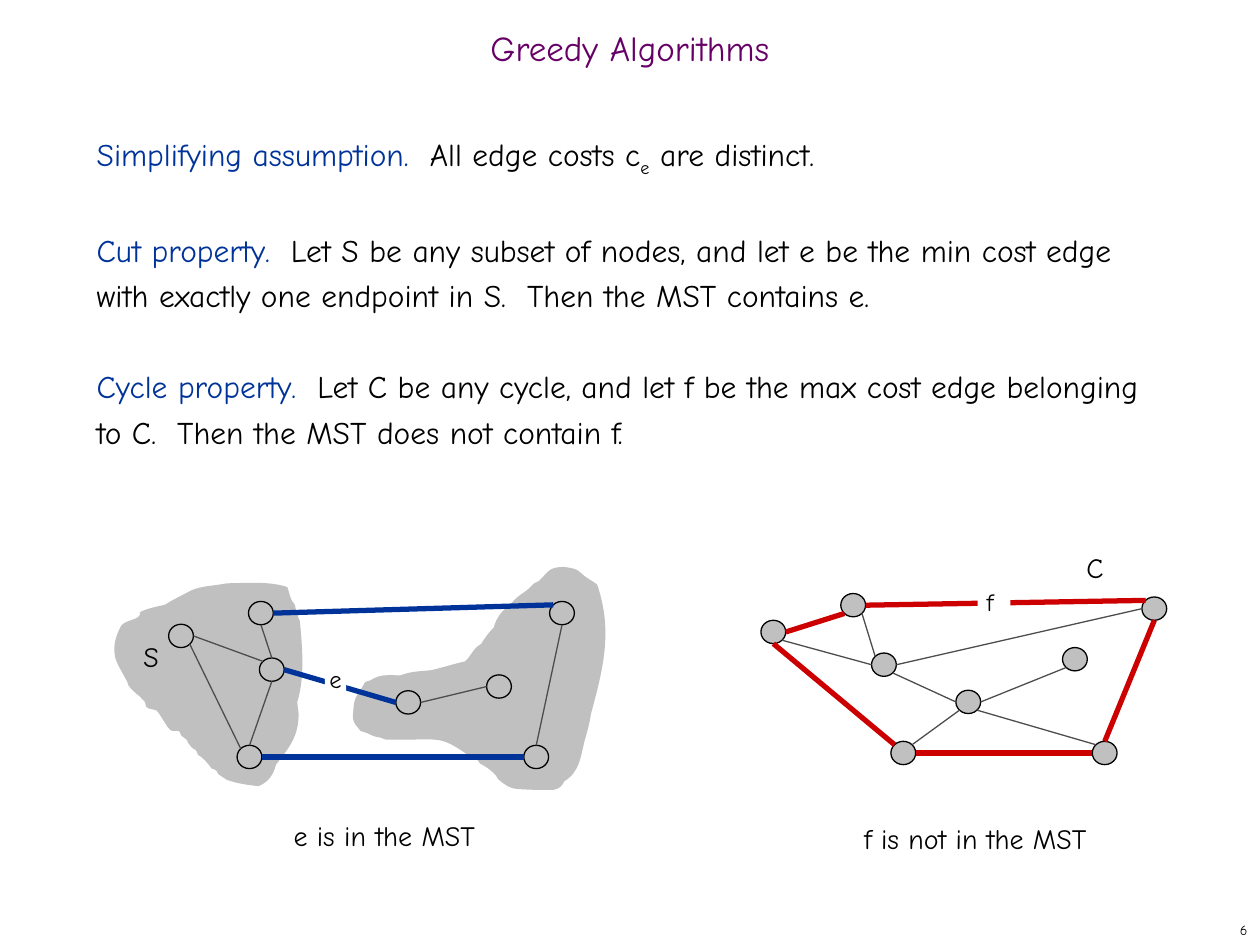
from math import cos, pi, sin

from lxml.etree import SubElement
from pptx import Presentation
from pptx.dml.color import RGBColor
from pptx.enum.shapes import MSO_CONNECTOR as Connector, MSO_SHAPE as Shape
from pptx.enum.text import MSO_ANCHOR as Anchor, PP_ALIGN as Align
from pptx.oxml.ns import qn
from pptx.util import Cm, Pt

FONT = "Comic Neue"
BLACK = RGBColor(0x00, 0x00, 0x00)
WHITE = RGBColor(0xFF, 0xFF, 0xFF)
GRAY = RGBColor(0xC0, 0xC0, 0xC0)
DARK_GRAY = RGBColor(0x4D, 0x4D, 0x4D)
PURPLE = RGBColor(0x66, 0x00, 0x66)
BLUE = RGBColor(0x00, 0x33, 0x99)
RED = RGBColor(0xCC, 0x00, 0x00)

NODE_WIDTH, NODE_HEIGHT = 0.5, 0.47
COMPASS = ["E", "SE", "S", "SW", "W", "NW", "N", "NE"]

# Node centres in cm; an edge runs from "node side" to "node side".
CUT_NODES = {
    "a": (3.65, 12.82), "b": (5.26, 12.36), "c": (5.48, 13.5), "d": (5.03, 15.26),
    "e": (8.23, 14.16), "f": (10.06, 13.84), "g": (11.33, 12.36), "h": (10.81, 15.26),
}
CUT_EDGES = ["h W-d E", "b E-g NW", "c E-e W"]
CUT_OTHER_EDGES = ["a E-c NW", "a SE-d NW", "b S-c N", "c S-d N", "g S-h N", "f W-e E"]

CYCLE_NODES = {
    "a": (15.59, 12.74), "b": (17.2, 12.2), "c": (17.82, 13.4), "d": (18.21, 15.18),
    "e": (19.52, 14.15), "f": (21.67, 13.29), "g": (23.27, 12.27), "h": (22.27, 15.18),
}
CYCLE_EDGES = ["a E-b SW", "d NW-a S", "g S-h N", "h W-d E", "b E-g NW"]
CYCLE_OTHER_EDGES = ["b SE-c NW", "g W-c E", "e W-c SE", "e SW-d NE",
                     "h NW-e SE", "f SW-e E", "c W-a SE"]

# Outlines in units of 0.0254 cm: a start, then curves (control, control, end).
OUTLINE_UNIT = Cm(0.0254)
REST_START = (448, 450)
REST_CURVES = [
    (462, 452, 457, 453, 468, 460), (470, 461, 474, 464, 474, 464),
    (487, 502, 478, 533, 469, 567), (468, 574, 466, 581, 464, 588),
    (461, 600, 460, 613, 448, 620), (446, 624, 444, 626, 439, 627),
    (429, 627, 419, 627, 409, 626), (407, 626, 403, 624, 403, 624),
    (400, 622, 398, 621, 396, 619), (395, 619, 395, 617, 394, 616),
    (391, 612, 385, 608, 381, 606), (377, 600, 381, 606, 374, 601),
    (347, 582, 351, 588, 306, 587), (304, 586, 301, 585, 299, 585),
    (298, 584, 297, 584, 296, 584), (294, 583, 292, 582, 289, 581),
    (288, 581, 286, 580, 286, 580), (284, 577, 281, 575, 280, 570),
    (281, 559, 280, 556, 286, 548), (291, 540, 288, 542, 294, 540),
    (302, 535, 306, 536, 318, 536), (326, 533, 331, 533, 342, 532),
    (351, 530, 360, 527, 369, 525), (374, 521, 375, 515, 382, 511),
    (385, 506, 388, 502, 392, 498), (394, 490, 399, 484, 406, 479),
    (410, 473, 416, 471, 421, 466), (422, 465, 423, 464, 424, 463),
    (425, 462, 427, 462, 428, 461), (436, 453, 436, 450, 448, 450),
]
SUBSET_START = (111, 486)
SUBSET_CURVES = [
    (116, 483, 127, 481, 131, 480), (137, 476, 144, 473, 151, 469),
    (159, 465, 171, 465, 180, 463), (195, 463, 213, 461, 228, 466),
    (230, 471, 230, 476, 234, 480), (235, 485, 236, 489, 238, 493),
    (240, 515, 242, 537, 236, 557), (236, 561, 237, 564, 237, 567),
    (237, 585, 229, 594, 219, 607), (217, 615, 213, 621, 205, 624),
    (196, 623, 189, 622, 180, 619), (178, 618, 176, 616, 174, 615),
    (173, 614, 172, 613, 172, 612), (171, 611, 169, 610, 168, 610),
    (165, 606, 161, 601, 157, 599), (157, 598, 156, 596, 155, 595),
    (154, 595, 153, 594, 152, 593), (150, 591, 149, 589, 148, 587),
    (147, 586, 145, 585, 144, 584), (141, 575, 139, 585, 133, 577),
    (130, 572, 129, 571, 126, 566), (125, 562, 118, 564, 116, 561),
    (115, 559, 116, 557, 113, 555), (111, 552, 106, 550, 102, 544),
    (101, 539, 91, 526, 91, 519), (90, 512, 92, 505, 95, 499),
    (97, 491, 113, 493, 111, 486),
]


def assign(target, values):
    for name, value in values.items():
        setattr(target, name, value)


def paint(shape, color):
    shape.shadow.inherit = False
    shape.fill.solid()
    shape.fill.fore_color.rgb = color
    shape.line.fill.background()


def add_span(para, text, size, color, baseline=None):
    span = para.add_run()
    span.text = text
    assign(span.font, {"name": FONT, "size": Pt(size)})
    span.font.color.rgb = color
    if baseline:
        span.font._element.set("baseline", str(baseline))


def add_text(page, frame, text, size, color=BLACK, align=Align.LEFT,
             anchor=Anchor.TOP, spacing=None):
    box = page.shapes.add_textbox(*map(Cm, frame))
    assign(box.text_frame, {"word_wrap": False, "vertical_anchor": anchor})
    para = box.text_frame.paragraphs[0]
    assign(para, {"alignment": align, "line_spacing": spacing})
    add_span(para, text, size, color)


def add_edge_label(page, frame, text):
    """White patch that interrupts an edge and names it."""
    patch = page.shapes.add_shape(Shape.RECTANGLE, *map(Cm, frame))
    paint(patch, WHITE)
    assign(patch.text_frame, {
        "margin_left": 0, "margin_right": 0, "margin_top": 0, "margin_bottom": 0,
        "word_wrap": True, "vertical_anchor": Anchor.TOP})
    para = patch.text_frame.paragraphs[0]
    para.alignment = Align.CENTER
    add_span(para, text, 14, BLACK)


def add_statements(page):
    box = page.shapes.add_textbox(Cm(1.7), Cm(2.54), Cm(21.79), Cm(15.04))
    box.text_frame.word_wrap = True
    statements = [
        ("Simplifying assumption.  ",
         [("All edge costs c", None), ("e", -25000), (" are distinct.", None)]),
        ("Cut property.  ",
         [("Let S be any subset of nodes, and let e be the min cost edge with exactly "
           "one endpoint in S.  Then the MST contains e.", None)]),
        ("Cycle property.  ",
         [("Let C be any cycle, and let f be the max cost edge belonging to C.  "
           "Then the MST does not contain f.", None)]),
    ]
    for index, (heading, parts) in enumerate(statements):
        para = box.text_frame.add_paragraph() if index else box.text_frame.paragraphs[0]
        assign(para, {"line_spacing": Pt(26), "space_before": Pt(26) if index else None})
        add_span(para, heading, 18, BLUE)
        for text, baseline in parts:
            add_span(para, text, 18, BLACK, baseline)


def add_region(page, start, curves):
    """Closed gray outline; every three segments are merged into one cubic curve."""
    points = [curve[i:i + 2] for curve in curves for i in (0, 2, 4)]
    builder = page.shapes.build_freeform(*start, scale=OUTLINE_UNIT)
    builder.add_line_segments(points, close=True)
    region = builder.convert_to_shape()
    paint(region, GRAY)
    segments = list(region._element.iter(qn("a:lnTo")))
    for first in range(0, len(segments), 3):
        curve = SubElement(segments[first].getparent(), qn("a:cubicBezTo"))
        segments[first].addprevious(curve)
        for segment in segments[first:first + 3]:
            curve.append(segment[0])
            segment.getparent().remove(segment)


def add_node(page, center):
    x, y = center
    node = page.shapes.add_shape(Shape.OVAL, Cm(x - NODE_WIDTH / 2), Cm(y - NODE_HEIGHT / 2),
                                 Cm(NODE_WIDTH), Cm(NODE_HEIGHT))
    paint(node, GRAY)
    node.line.color.rgb = BLACK
    node.line.width = Pt(0.75)


def rim_point(nodes, end):
    name, side = end.split()
    angle = COMPASS.index(side) * pi / 4
    x, y = nodes[name]
    return Cm(x + NODE_WIDTH / 2 * cos(angle)), Cm(y + NODE_HEIGHT / 2 * sin(angle))


def add_edges(page, nodes, edges, color, width):
    for edge in edges:
        start, end = (rim_point(nodes, part) for part in edge.split("-"))
        line = page.shapes.add_connector(Connector.STRAIGHT, *start, *end)
        line.line.color.rgb = color
        line.line.width = Pt(width)
        SubElement(line._element.spPr, qn("a:effectLst"))


def add_graph(page, nodes, strong_edges, strong_color, other_edges):
    for center in nodes.values():
        add_node(page, center)
    add_edges(page, nodes, strong_edges, strong_color, 3)
    add_edges(page, nodes, other_edges, DARK_GRAY, 0.75)


def main():
    deck = Presentation()
    assign(deck, {"slide_width": Cm(25.4), "slide_height": Cm(19.05)})
    page = deck.slides.add_slide(deck.slide_layouts[6])

    add_text(page, (20.12, 18.42, 5.28, 0.64), "6", 8, align=Align.RIGHT, anchor=Anchor.MIDDLE)
    add_text(page, (0, 0.43, 25.4, 1.27), "Greedy Algorithms", 20, PURPLE,
             Align.CENTER, Anchor.MIDDLE, 0.7)
    add_statements(page)

    add_graph(page, CYCLE_NODES, CYCLE_EDGES, RED, CYCLE_OTHER_EDGES)
    add_edge_label(page, (19.71, 11.84, 0.66, 0.58), "f ")
    add_text(page, (21.65, 10.97, 0.86, 0.94), "C", 16)
    add_text(page, (17.17, 16.43, 5, 0.94), "f is not in the MST", 16)

    add_region(page, REST_START, REST_CURVES)
    add_region(page, SUBSET_START, SUBSET_CURVES)
    add_graph(page, CUT_NODES, CUT_EDGES, BLUE, CUT_OTHER_EDGES)
    add_edge_label(page, (6.55, 13.39, 0.43, 0.58), "e")
    add_text(page, (2.64, 12.76, 0.81, 0.94), "S", 16)
    add_text(page, (5.67, 16.38, 4.17, 0.94), "e is in the MST", 16)

    deck.save("out.pptx")


if __name__ == "__main__":
    main()
